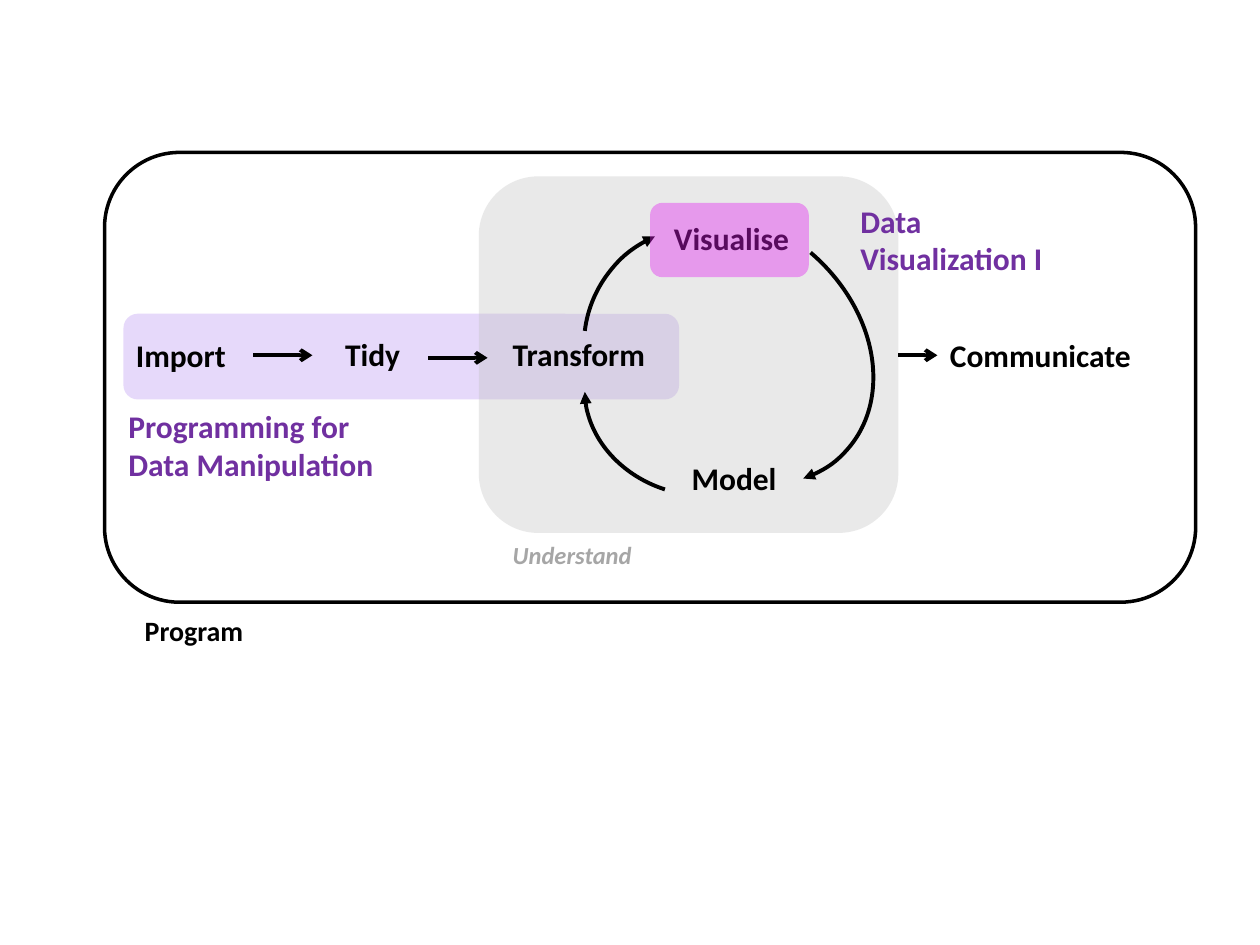
import pptx
import pptx.util
import pptx.dml.color
import pptx.enum.shapes
import pptx.oxml
import pptx.oxml.ns
from lxml import etree

Inches, Pt = pptx.util.Inches, pptx.util.Pt
SHAPE = pptx.enum.shapes.MSO_SHAPE
qn = pptx.oxml.ns.qn

COLORS = {"black": "000000", "purple": "7030A0", "gray": "A6A6A6",
          "lavender": "BC97F3", "silver": "BFBFBF", "magenta": "E21BF1"}

# preset, (left, top, width, height), colour, opacity in percent
MANIPULATION = (SHAPE.FLOWCHART_ALTERNATE_PROCESS, (0.98, 2.49, 4.41, 0.68), "lavender", 36)
UNDERSTAND = (SHAPE.ROUNDED_RECTANGLE, (3.8, 1.4, 3.33, 2.83), "silver", 34)
VISUALISE = (SHAPE.ROUNDED_RECTANGLE, (5.16, 1.61, 1.26, 0.59), "magenta", 39)
PROGRAM = (0.83, 1.21, 8.66, 3.57)

# text, left, top
STEPS = [("Import", 0.98, 2.62), ("Tidy", 2.64, 2.61), ("Transform", 3.97, 2.61),
         ("Visualise", 5.25, 1.69), ("Model", 5.39, 3.59), ("Communicate", 7.44, 2.62)]
COURSES = [("Data\nVisualization I", 6.73, 1.55),
           ("Programming for\nData Manipulation", 0.92, 3.18)]

# start x, end x, y
ARROWS = [(7.13, 7.44, 2.82), (2.01, 2.48, 2.82), (3.4, 3.87, 2.84)]

# (left, top, width, height), rotation, end angle in degrees
ARCS = [((4.56, 1.77, 2.47, 1.97), 40.4, 20.51),
        ((4.63, 2.43, 1.75, 1.49), 197.8, 346.48),
        ((4.64, 1.79, 1.89, 1.9), 276.9, 328.97)]
ARC_START = 270
ARC_UNIT = 60000 / 100000  # degrees to adjustment values


def rgb(name):
    return pptx.dml.color.RGBColor.from_string(COLORS[name])


def add_shape(slide, preset, box):
    sp = slide.shapes.add_shape(preset, *map(Inches, box))
    sp.shadow.inherit = False
    sp.fill.background()
    sp.line.fill.background()
    return sp


def add_panel(slide, preset, box, color, opacity):
    sp = add_shape(slide, preset, box)
    sp.fill.solid()
    sp.fill.fore_color.rgb = rgb(color)
    clr = sp._element.spPr.find(qn("a:solidFill"))[0]
    etree.SubElement(clr, qn("a:alpha")).set("val", str(opacity * 1000))


def set_line(sp, width, head=None):
    sp.line.color.rgb = rgb("black")
    sp.line.width = Pt(width)
    if head:
        ln = sp.line._get_or_add_ln()
        etree.SubElement(ln, qn("a:tailEnd")).set("type", head)


def add_label(slide, text, left, top, width=1.81, height=0.4, size=18,
              color="black", italic=False):
    sp = slide.shapes.add_textbox(*map(Inches, (left, top, width, height)))
    tf = sp.text_frame
    tf.word_wrap = True
    tf.text = text
    for p in tf.paragraphs:
        p.font.name = "Calibri"
        p.font.size = Pt(size)
        p.font.bold = True
        p.font.italic = italic
        p.font.color.rgb = rgb(color)


def add_arrow(slide, x1, x2, y):
    cx = slide.shapes.add_connector(pptx.enum.shapes.MSO_CONNECTOR.STRAIGHT,
                                    *map(Inches, (x1, y, x2, y)))
    set_line(cx, 2.25, "arrow")
    etree.SubElement(cx._element.spPr, qn("a:effectLst"))


def add_arc(slide, box, rotation, end):
    sp = add_shape(slide, SHAPE.ARC, box)
    sp.rotation = rotation
    sp.adjustments[0] = ARC_START * ARC_UNIT
    sp.adjustments[1] = end * ARC_UNIT
    set_line(sp, 2.25, "triangle")


def main():
    prs = pptx.Presentation()
    prs.slide_width, prs.slide_height = Inches(10), Inches(7.5)
    slide = prs.slides.add_slide(prs.slide_layouts[6])

    add_panel(slide, *MANIPULATION)
    add_panel(slide, *UNDERSTAND)
    for step in STEPS:
        add_label(slide, *step)
    for arrow in ARROWS:
        add_arrow(slide, *arrow)
    add_label(slide, "Understand", 3.97, 4.24, 1.58, 0.34, 14, "gray", italic=True)
    set_line(add_shape(slide, SHAPE.ROUNDED_RECTANGLE, PROGRAM), 2)
    for arc in ARCS:
        add_arc(slide, *arc)
    for course in COURSES:
        add_label(slide, *course, 2.74, 0.71, color="purple")
    add_panel(slide, *VISUALISE)
    add_label(slide, "Program", 1.05, 4.82, 1.58, 0.37, 16)

    prs.save("out.pptx")


if __name__ == "__main__":
    main()
